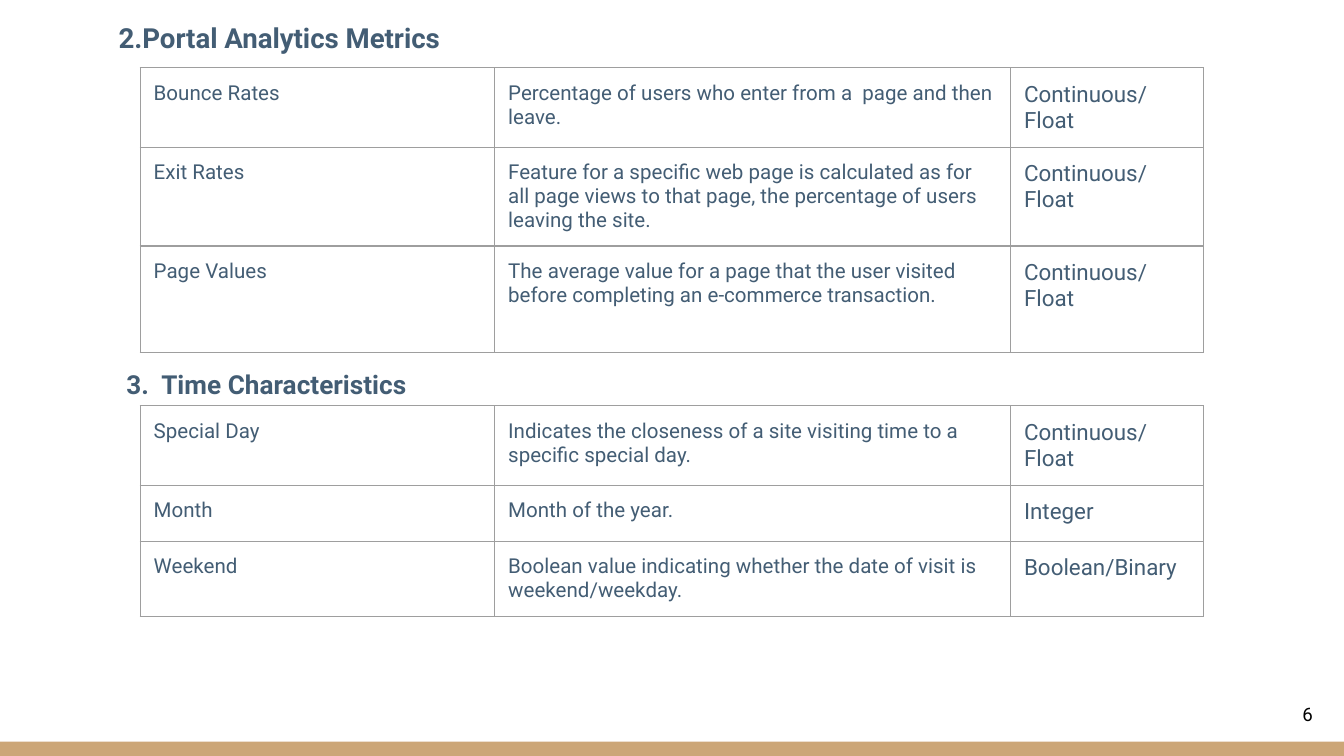
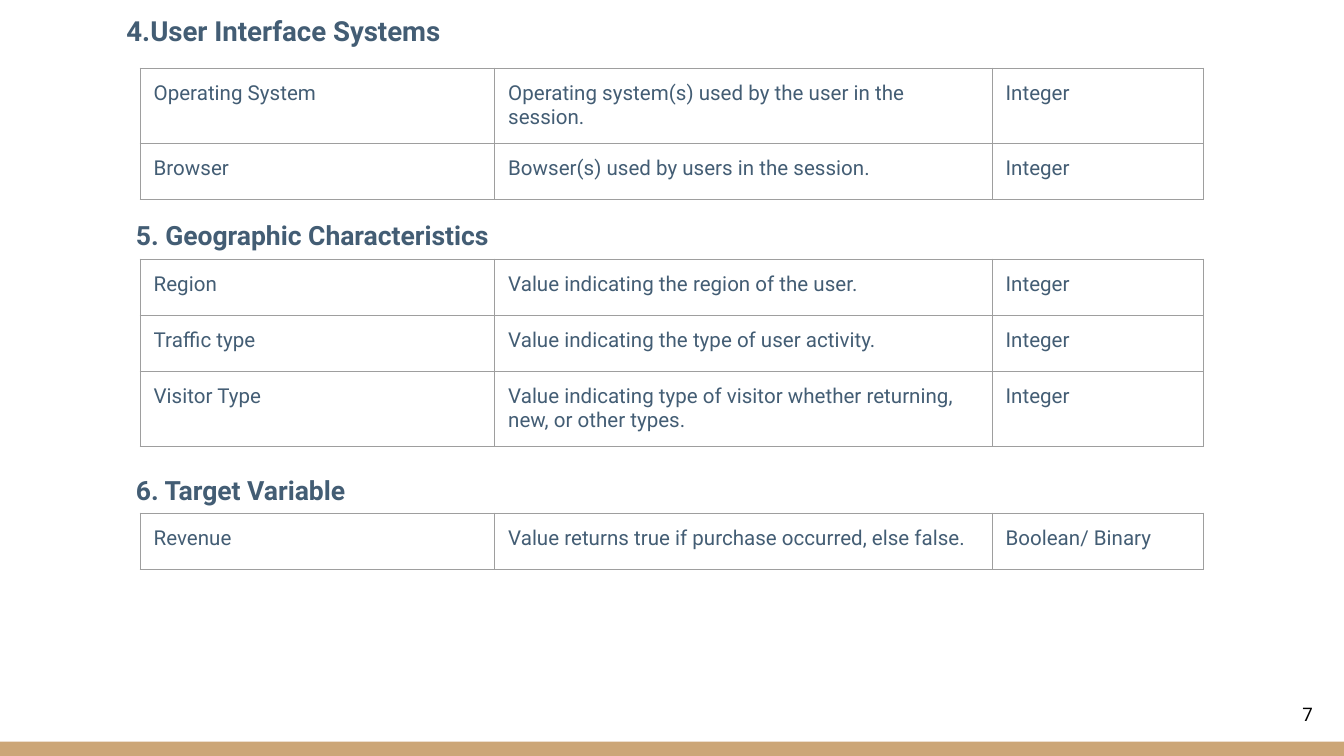
import pptx
import pptx.dml.color
import pptx.enum.shapes
import pptx.enum.text
import pptx.oxml
import pptx.oxml.ns
import pptx.util
from lxml import etree

Cm = pptx.util.Cm
Pt = pptx.util.Pt
RGBColor = pptx.dml.color.RGBColor
Align = pptx.enum.text.PP_ALIGN
Anchor = pptx.enum.text.MSO_ANCHOR

# Shared style
SLATE = RGBColor(0x43, 0x5D, 0x74)
TAN = RGBColor(0xCC, 0xA6, 0x77)
GRID = RGBColor(0x9E, 0x9E, 0x9E)
BLACK = RGBColor(0, 0, 0)
FONT = "Roboto"
INSET = Pt(7.2)
HEADING_INSET = Cm(1.52)
HEADING_WIDTH = Cm(23.67)
TABLE_LEFT = Cm(2.65)
TABLE_FRAME = Cm(8.33)
ROW_HEIGHT = 1.06


def write_text(frame, text, size=11, color=SLATE, bold=False, align=Align.LEFT,
               anchor=Anchor.TOP, left_inset=INSET, line_spacing=1.0, gap=0):
    """Write one paragraph per line of text, with gap points between them."""
    frame.word_wrap = True
    frame.auto_size = pptx.enum.text.MSO_AUTO_SIZE.NONE
    frame.vertical_anchor = anchor
    frame.margin_left = left_inset
    frame.margin_top = frame.margin_right = frame.margin_bottom = INSET
    fill_paragraphs(frame, text, size, color, bold, align, line_spacing, gap)


def fill_paragraphs(frame, text, size, color=SLATE, bold=False,
                    align=Align.LEFT, line_spacing=1.0, gap=0):
    for index, line in enumerate(text.split("\n")):
        paragraph = frame.add_paragraph() if index else frame.paragraphs[0]
        paragraph.alignment = align
        paragraph.line_spacing = line_spacing
        paragraph.space_before = Pt(gap if index else 0)
        run = paragraph.add_run()
        run.text = line
        run.font.name = FONT
        run.font.size = Pt(size)
        run.font.bold = bold
        run.font.color.rgb = color


class Deck:
    def __init__(self):
        self.presentation = pptx.Presentation()
        self.presentation.slide_width = Cm(25.4)
        self.presentation.slide_height = Cm(14.29)
        self.slide = None

    def add_slide(self, number):
        layout = self.presentation.slide_layouts.get_by_name("Title Only")
        self.slide = self.presentation.slides.add_slide(layout)
        self.add_band()
        self.add_text(str(number), 23.54, 12.95, Cm(1.52), 1.09, size=10,
                      color=BLACK, align=Align.RIGHT, anchor=Anchor.MIDDLE)

    def add_band(self):
        band = self.slide.shapes.add_shape(
            pptx.enum.shapes.MSO_SHAPE.RECTANGLE,
            0, Cm(14.02), self.presentation.slide_width, Cm(0.27))
        band.shadow.inherit = False
        band.fill.solid()
        band.fill.fore_color.rgb = TAN
        band.line.fill.background()

    def set_title(self, text, left, top):
        title = self.slide.shapes.title
        title.left, title.top = Cm(left), Cm(top)
        title.width, title.height = HEADING_WIDTH, Cm(1.6)
        write_text(title.text_frame, text, size=14.8, bold=True,
                   anchor=Anchor.BOTTOM, left_inset=HEADING_INSET)

    def add_text(self, text, left, top, width, height, **style):
        box = self.slide.shapes.add_textbox(Cm(left), Cm(top), width, Cm(height))
        write_text(box.text_frame, text, **style)

    def add_headings(self, text, left, top, height, size, gap=0):
        self.add_text(text, left, top, HEADING_WIDTH, height, size=size, bold=True,
                      left_inset=HEADING_INSET, line_spacing=1.15, gap=gap)

    def add_table(self, rows, top, widths, type_size=11, last_height=ROW_HEIGHT):
        heights = [ROW_HEIGHT] * (len(rows) - 1) + [last_height]
        frame = self.slide.shapes.add_table(
            len(rows), len(widths), TABLE_LEFT, Cm(top), TABLE_FRAME, TABLE_FRAME)
        table = frame.table
        table.first_row = table.horz_banding = False
        for column, width in zip(table.columns, widths):
            column.width = Cm(width)
        for row, height, texts in zip(table.rows, heights, rows):
            row.height = Cm(height)
            for cell, text, size in zip(row.cells, texts, (11, 11, type_size)):
                self.format_cell(cell)
                fill_paragraphs(cell.text_frame, text, size)
        # Setting columns and rows resizes the frame
        frame.width = frame.height = TABLE_FRAME

    def format_cell(self, cell):
        cell.margin_left = cell.margin_right = INSET
        cell.margin_top = cell.margin_bottom = INSET
        properties = cell._tc.get_or_add_tcPr()
        qn = pptx.oxml.ns.qn
        for side in ("a:lnL", "a:lnR", "a:lnT", "a:lnB"):
            line = etree.SubElement(properties, qn(side), w=str(Pt(0.75)))
            fill = etree.SubElement(line, qn("a:solidFill"))
            etree.SubElement(fill, qn("a:srgbClr"), val=str(GRID))
        cell.fill.background()


def build_metrics_slide(deck):
    widths = (6.7, 9.75, 3.65)
    deck.add_slide(6)
    deck.set_title("2.Portal Analytics Metrics", 0.72, -0.32)
    deck.add_headings("3.  Time Characteristics", 0.87, 6.63, 3.56, size=14)

    # Page metrics
    deck.add_table([
        ("Bounce Rates",
         "Percentage of users who enter from a  page and then leave.",
         "Continuous/\nFloat"),
        ("Exit Rates",
         "Feature for a specific web page is calculated as for all page views "
         "to that page, the percentage of users leaving the site.",
         "Continuous/\nFloat"),
        ("Page Values",
         "The average value for a page that the user visited before completing "
         "an e-commerce transaction.",
         "Continuous/\nFloat"),
    ], 1.28, widths, type_size=12, last_height=2.01)

    # Time characteristics
    deck.add_table([
        ("Special Day",
         "Indicates the closeness of a site visiting time to a specific special day.",
         "Continuous/\nFloat"),
        ("Month", "Month of the year.", "Integer"),
        ("Weekend",
         "Boolean value indicating whether the date of visit is weekend/weekday.",
         "Boolean/Binary"),
    ], 7.67, widths, type_size=12)


def build_systems_slide(deck):
    widths = (6.7, 9.4, 4)
    deck.add_slide(7)
    deck.set_title("4.User Interface Systems", 0.87, -0.46)
    deck.add_headings("5. Geographic Characteristics\n6. Target Variable",
                      1.05, 3.79, 9.5, size=14.2, gap=117)

    # User interface systems
    deck.add_table([
        ("Operating System",
         "Operating system(s) used by the user in the session.", "Integer"),
        ("Browser", "Bowser(s) used by users in the session.", "Integer"),
    ], 1.29, widths)

    # Geographic characteristics
    deck.add_table([
        ("Region", "Value indicating the region of the user.", "Integer"),
        ("Traffic type", "Value indicating the type of user activity.", "Integer"),
        ("Visitor Type",
         "Value indicating type of visitor whether returning, new, or other types.",
         "Integer"),
    ], 4.9, widths)

    # Target variable
    deck.add_table([
        ("Revenue", "Value returns true if purchase occurred, else false.",
         "Boolean/ Binary"),
    ], 9.7, widths)


def main():
    deck = Deck()
    build_metrics_slide(deck)
    build_systems_slide(deck)
    deck.presentation.save("out.pptx")


if __name__ == "__main__":
    main()
